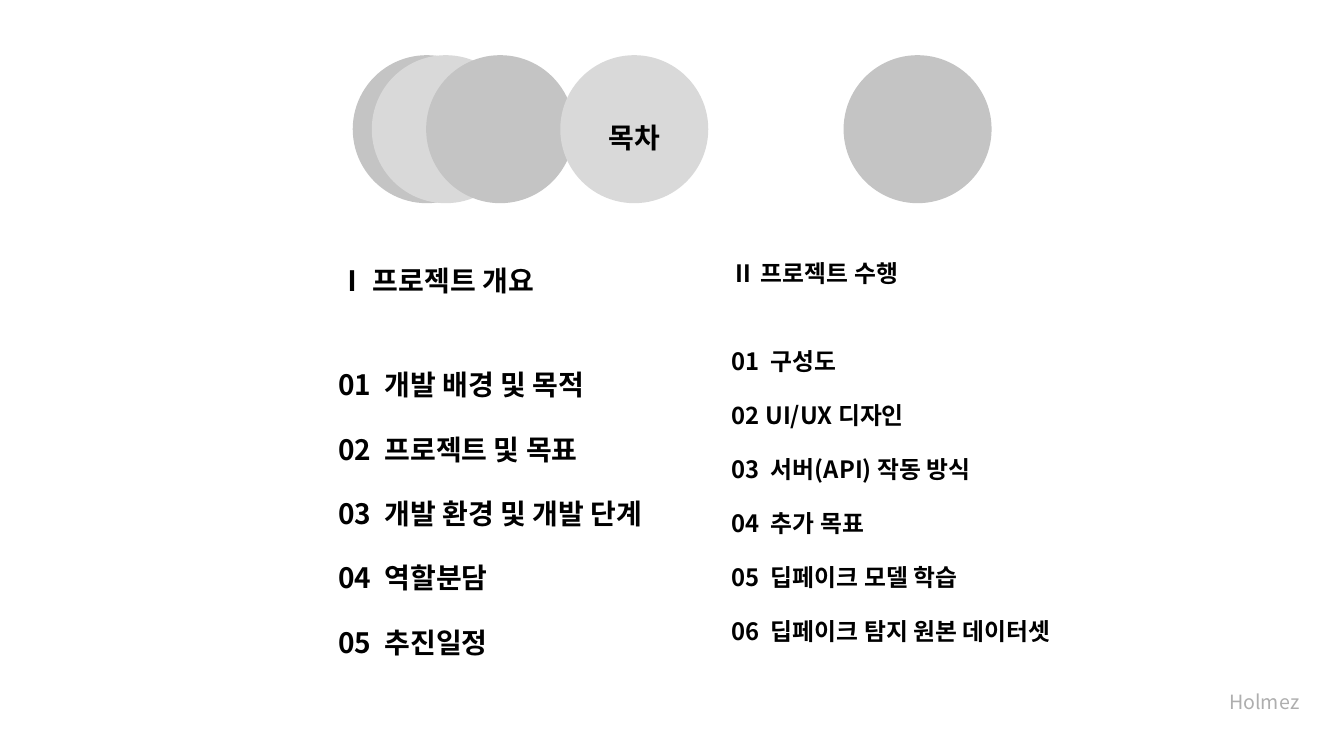
"""Build the contents slide with its row of circles and two topic lists."""
from lxml.etree import SubElement
from pptx import Presentation
from pptx.dml.color import RGBColor
from pptx.enum.shapes import MSO_SHAPE
from pptx.enum.text import MSO_ANCHOR, PP_ALIGN
from pptx.oxml.ns import qn
from pptx.util import Cm, Pt

COLORS = {"dark": "C4C4C4", "light": "D9D9D9", "ink": "000000", "muted": "AEAEAE"}


class Deck:
    """Hold the text style and the current slide."""

    font = "Noto Sans CJK KR"
    roman = "Roboto"

    def __init__(self):
        self.prs = Presentation()
        self.prs.slide_width, self.prs.slide_height = Cm(33.87), Cm(19.05)
        self.slide = self.prs.slides.add_slide(self.prs.slide_layouts[6])
        self.group = self.slide.shapes.add_group_shape()

    def style(self, run, size, color="ink", bold=True, font=font):
        """Set the look of one run."""
        run.font.size, run.font.bold = Pt(size), bold
        run.font.color.rgb = RGBColor.from_string(COLORS[color])
        run.font.name = font
        SubElement(run._r.get_or_add_rPr(), qn("a:ea"), typeface=self.font)

    def circle(self, left, color):
        """Add one circle to the title row."""
        size = Cm(3.73)
        shape = self.group.shapes.add_shape(MSO_SHAPE.OVAL, Cm(left), Cm(1.39), size, size)
        shape.rotation = 270
        shape.shadow.inherit = False
        shape.fill.solid()
        shape.fill.fore_color.rgb = RGBColor.from_string(COLORS[color])
        shape.line.fill.background()

    def box(self, shapes, place, anchor=MSO_ANCHOR.TOP):
        """Add a wrapping text box and return its frame."""
        frame = shapes.add_textbox(*map(Cm, place)).text_frame
        frame.word_wrap, frame.vertical_anchor = True, anchor
        return frame

    def label(self, shapes, place, text, size, anchor, align, **look):
        """Add a single line of text."""
        para = self.box(shapes, place, anchor).paragraphs[0]
        para.text, para.alignment, para.line_spacing = text, align, 1.5
        self.style(para.runs[0], size, **look)

    def topics(self, place, size, spacing, gap, tab, numeral, title, items):
        """Add a headed list of numbered topics."""
        frame = self.box(self.slide.shapes, place)
        head = frame.paragraphs[0]
        head.line_spacing = spacing
        for text, font in ((numeral + " ", self.roman), (title, self.font)):
            run = head.add_run()
            run.text = text
            self.style(run, size, font=font)
        for index, item in enumerate(items):
            para = frame.add_paragraph()
            stops = SubElement(para._p.get_or_add_pPr(), qn("a:tabLst"))
            SubElement(stops, qn("a:tab"), pos=str(Cm(tab)), algn="l")
            para.text = item
            para.line_spacing = spacing
            para.space_before = Pt(10 if index else gap)
            self.style(para.runs[0], size)


def main():
    """Draw the slide and save it."""
    deck = Deck()
    for left, color in ((8.89, "dark"), (9.37, "light"), (21.26, "dark"),
                        (10.74, "dark"), (14.12, "light")):
        deck.circle(left, color)
    deck.label(deck.group.shapes, (14.27, 2.06, 3.43, 2.39), "목차", 20,
               MSO_ANCHOR.MIDDLE, PP_ALIGN.CENTER)
    deck.label(deck.slide.shapes, (30.73, 16.61, 3.14, 1.5), "Holmez", 14,
               MSO_ANCHOR.BOTTOM, PP_ALIGN.LEFT, color="muted", bold=False)
    deck.topics((8.28, 6.1, 8.94, 10.77), 20, 1.5, 38.2, 1.16, "Ⅰ", "프로젝트 개요", (
        "01\t개발 배경 및 목적",
        "02\t프로젝트 및 목표",
        "03\t개발 환경 및 개발 단계",
        "04\t역할분담",
        "05\t추진일정",
    ))
    deck.topics((18.19, 6.1, 9.93, 10.77), 17, 1.4, 34.3, 0.99, "Ⅱ", "프로젝트 수행", (
        "01\t구성도",
        "02 UI/UX 디자인",
        "03\t서버(API) 작동 방식",
        "04\t추가 목표",
        "05\t딥페이크 모델 학습",
        "06\t딥페이크 탐지 원본 데이터셋",
    ))
    deck.prs.save("out.pptx")


if __name__ == "__main__":
    main()
